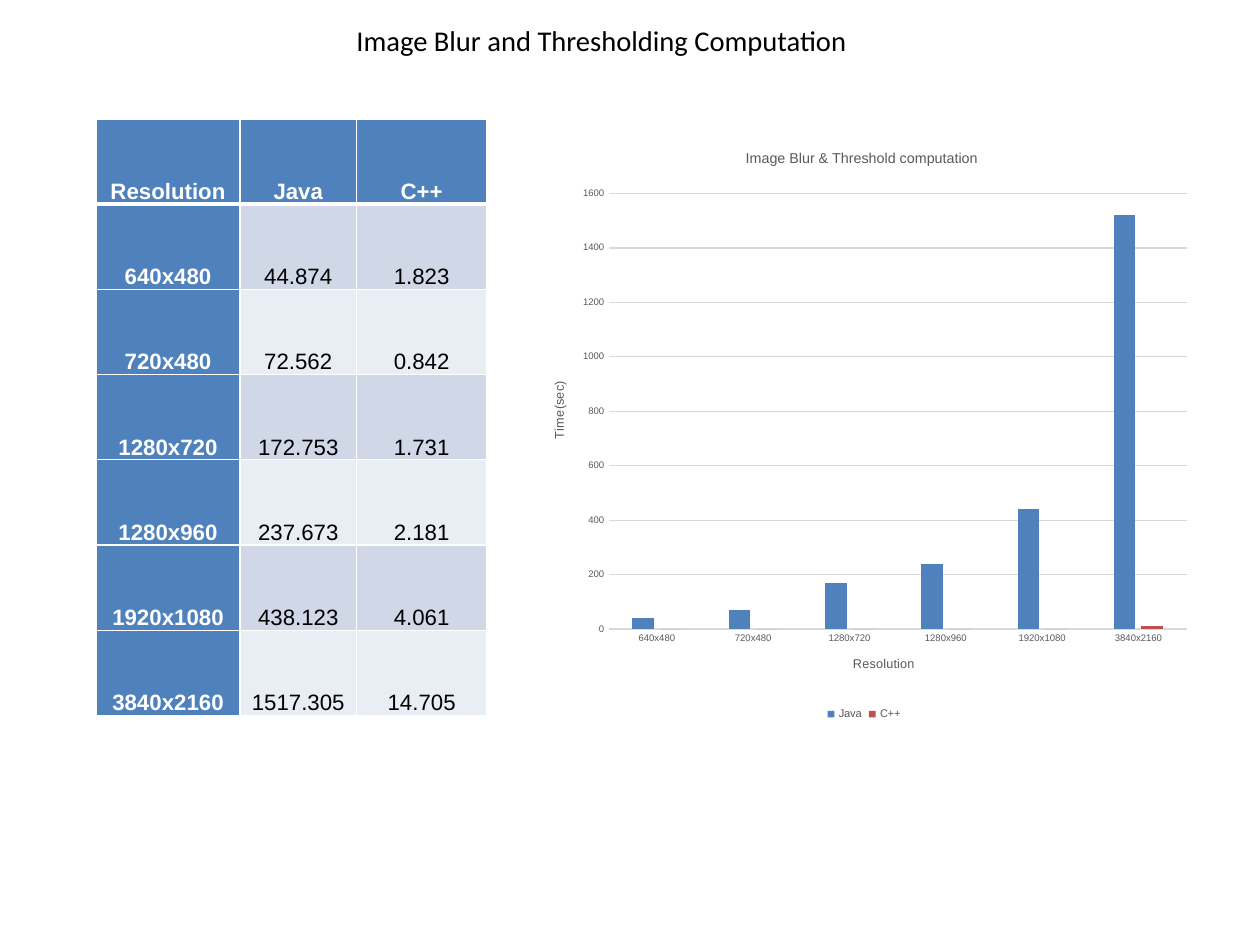
from dataclasses import dataclass

from lxml import etree
from pptx import Presentation
from pptx import util as u
from pptx.chart.data import CategoryChartData
from pptx.dml.color import RGBColor
from pptx.enum import chart as ch, text as t
from pptx.oxml.ns import qn


@dataclass(frozen=True)
class Theme:
    blue: str = "4F81BD"
    red: str = "C0504D"
    bands: tuple = ("D0D8E8", "E9EDF4")
    white: str = "FFFFFF"
    black: str = "000000"
    grey: str = "595959"
    grid: str = "D9D9D9"
    heading_font: str = "Calibri"
    font: str = "Arial"
    heading: int = 18
    cell: int = 14
    chart_title: int = 9
    axis_title: int = 8
    legend: int = 7
    tick: int = 6


theme = Theme()


def write(paragraph, text, size, color, font=theme.font, bold=False, align=None, spacing=None):
    run = paragraph.add_run()
    run.text = text
    run.font.size, run.font.name, run.font.bold = u.Pt(size), font, bold
    run.font.color.rgb = RGBColor.from_string(color)
    paragraph.alignment = align
    paragraph.line_spacing = spacing


def place(element, **fractions):
    """Fix a chart part's position, given in fractions of the chart's size."""
    layout = element.find(qn("c:layout"))
    if layout is None:
        layout = etree.Element(qn("c:layout"))
        element.insert(0, layout)
    manual = etree.SubElement(layout, qn("c:manualLayout"))
    if "w" in fractions:
        etree.SubElement(manual, qn("c:layoutTarget"), val="inner")
    for mode in ("xMode", "yMode"):
        etree.SubElement(manual, qn(f"c:{mode}"), val="edge")
    for name, value in fractions.items():
        etree.SubElement(manual, qn(f"c:{name}"), val=str(value))


header = ("Resolution", "Java", "C++")
timings = [
    ("640x480", 44.874, 1.823),
    ("720x480", 72.562, 0.842),
    ("1280x720", 172.753, 1.731),
    ("1280x960", 237.673, 2.181),
    ("1920x1080", 438.123, 4.061),
    ("3840x2160", 1517.305, 14.705),
]

# A 28 by 21 cm page, exactly 4:3
presentation = Presentation()
presentation.slide_width, presentation.slide_height = u.Cm(28), u.Cm(21)
presentation.element.find(qn("p:sldSz")).attrib.pop("type", None)
slide = presentation.slides.add_slide(presentation.slide_layouts[6])

# Heading
heading = slide.shapes.add_textbox(u.Inches(3.02), u.Inches(0.15), u.Inches(4.54), u.Inches(0.4))
heading.text_frame.word_wrap = False
heading.text_frame.auto_size = t.MSO_AUTO_SIZE.SHAPE_TO_FIT_TEXT
write(heading.text_frame.paragraphs[0], "Image Blur and Thresholding Computation",
      theme.heading, theme.black, font=theme.heading_font)

# Table of timings
rows = [header, *timings]
table = slide.shapes.add_table(len(rows), len(header), u.Inches(0.84), u.Inches(1.04),
                               u.Inches(3.42), u.Inches(5.22)).table
for column, width in zip(table.columns, (1.26, 1.02, 1.14)):
    column.width = u.Inches(width)

for row_index, row in enumerate(rows):
    for column_index, value in enumerate(row):
        cell = table.cell(row_index, column_index)
        is_label = row_index == 0 or column_index == 0
        cell.vertical_anchor = t.MSO_ANCHOR.BOTTOM
        cell.margin_left = cell.margin_right = u.Inches(0.07)
        cell.margin_top = cell.margin_bottom = 0
        write(cell.text_frame.paragraphs[0], str(value), theme.cell,
              theme.white if is_label else theme.black, bold=is_label,
              align=t.PP_ALIGN.CENTER, spacing=1.07)
        cell.fill.solid()
        cell.fill.fore_color.rgb = RGBColor.from_string(
            theme.blue if is_label else theme.bands[(row_index - 1) % 2])
        properties = cell._tc.get_or_add_tcPr()
        for position, side in enumerate(("lnL", "lnR", "lnT", "lnB")):
            below_header = (row_index, side) in ((0, "lnB"), (1, "lnT"))
            border = etree.Element(qn(f"a:{side}"), w=str(u.Pt(3 if below_header else 1)))
            fill = etree.SubElement(border, qn("a:solidFill"))
            etree.SubElement(fill, qn("a:srgbClr"), val=theme.white)
            properties.insert(position, border)

# Column chart of the same timings, to the nearest ten seconds
resolutions, *series_values = zip(*timings)
data = CategoryChartData(number_format="0")
data.categories = resolutions
for name, values in zip(header[1:], series_values):
    data.add_series(name, [int(round(value, -1)) for value in values])
chart = slide.shapes.add_chart(ch.XL_CHART_TYPE.COLUMN_CLUSTERED, u.Inches(4.62), u.Inches(1.12),
                               u.Inches(5.88), u.Inches(5.22), data).chart
chart.font.name, chart.font.size = theme.font, u.Pt(theme.tick)
chart.font.color.rgb = RGBColor.from_string(theme.grey)

plot = chart.plots[0]
plot.gap_width, plot.overlap, plot.vary_by_categories = 219, -27, False
for series, color in zip(plot.series, (theme.blue, theme.red)):
    series.invert_if_negative = False
    series.format.fill.solid()
    series.format.fill.fore_color.rgb = RGBColor.from_string(color)

category_axis, value_axis = chart.category_axis, chart.value_axis
for axis in (category_axis, value_axis):
    axis.major_tick_mark = axis.minor_tick_mark = ch.XL_TICK_MARK.NONE
    axis.tick_labels.font.size = u.Pt(theme.tick)
value_axis.minimum_scale, value_axis.maximum_scale, value_axis.major_unit = 0, 1600, 200
value_axis.tick_labels.number_format = "0"
value_axis.tick_labels.number_format_is_linked = False
value_axis.format.line.fill.background()
for line in (category_axis.format.line, value_axis.major_gridlines.format.line):
    line.color.rgb = RGBColor.from_string(theme.grid)
    line.width = u.Pt(0.75)

chart_titles = [
    (chart, "Image Blur & Threshold computation", theme.chart_title, 0.32, 0.03),
    (category_axis, "Resolution", theme.axis_title, 0.48, 0.88),
    (value_axis, "Time(sec)", theme.axis_title, 0.03, 0.42),
]
for owner, caption, size, x, y in chart_titles:
    title = owner.chart_title if owner is chart else owner.axis_title
    write(title.text_frame.paragraphs[0], caption, size, theme.grey)
    place(title._element, x=x, y=y)
value_axis.axis_title.text_frame._txBody.bodyPr.set("rot", "-5400000")
place(chart._chartSpace.chart.plotArea, x=0.12, y=0.11, w=0.86, h=0.73)

chart.has_legend = True
chart.legend.position = ch.XL_LEGEND_POSITION.BOTTOM
chart.legend.include_in_layout = False
chart.legend.font.size = u.Pt(theme.legend)
chart.legend.font.color.rgb = RGBColor.from_string(theme.grey)

presentation.save("out.pptx")
